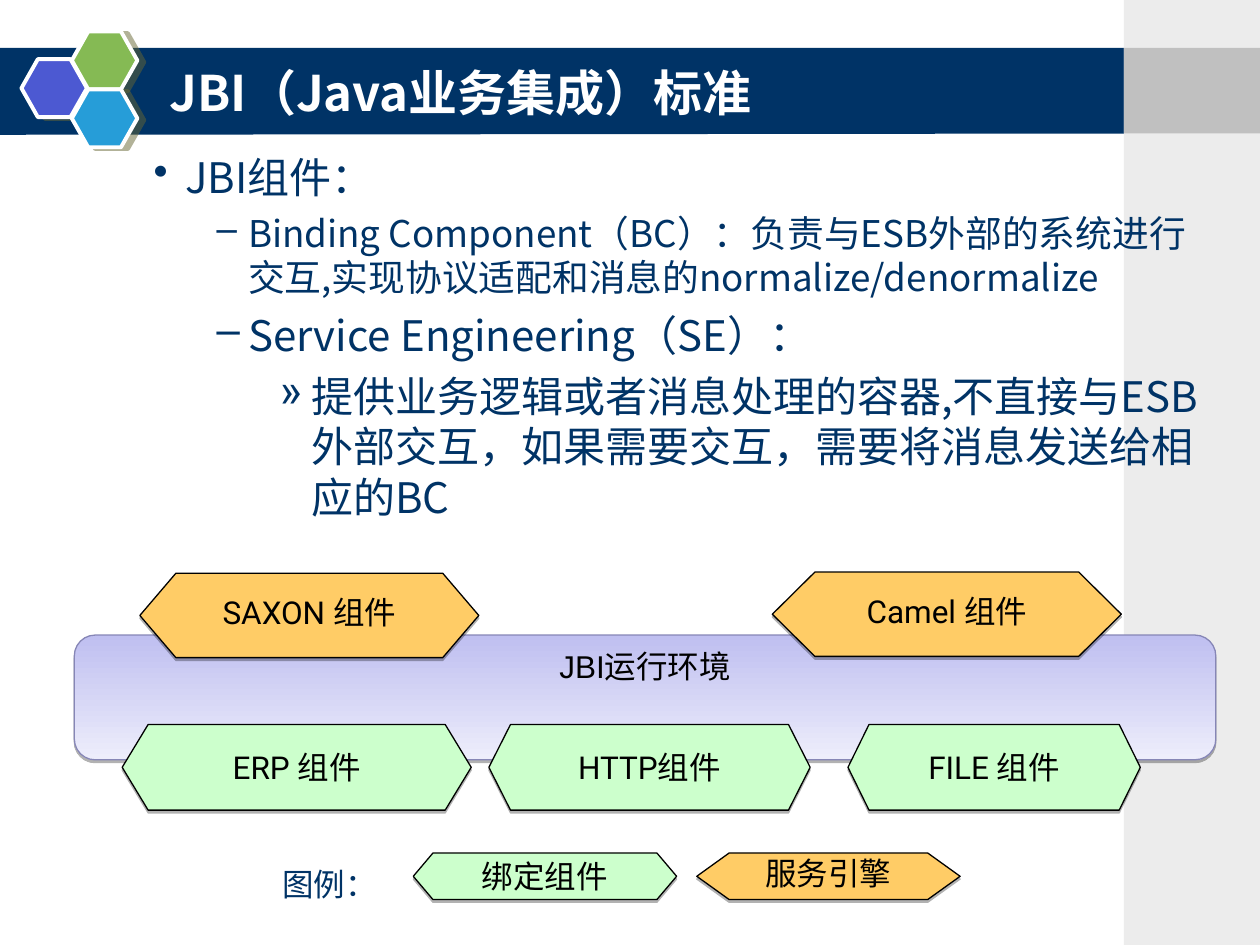
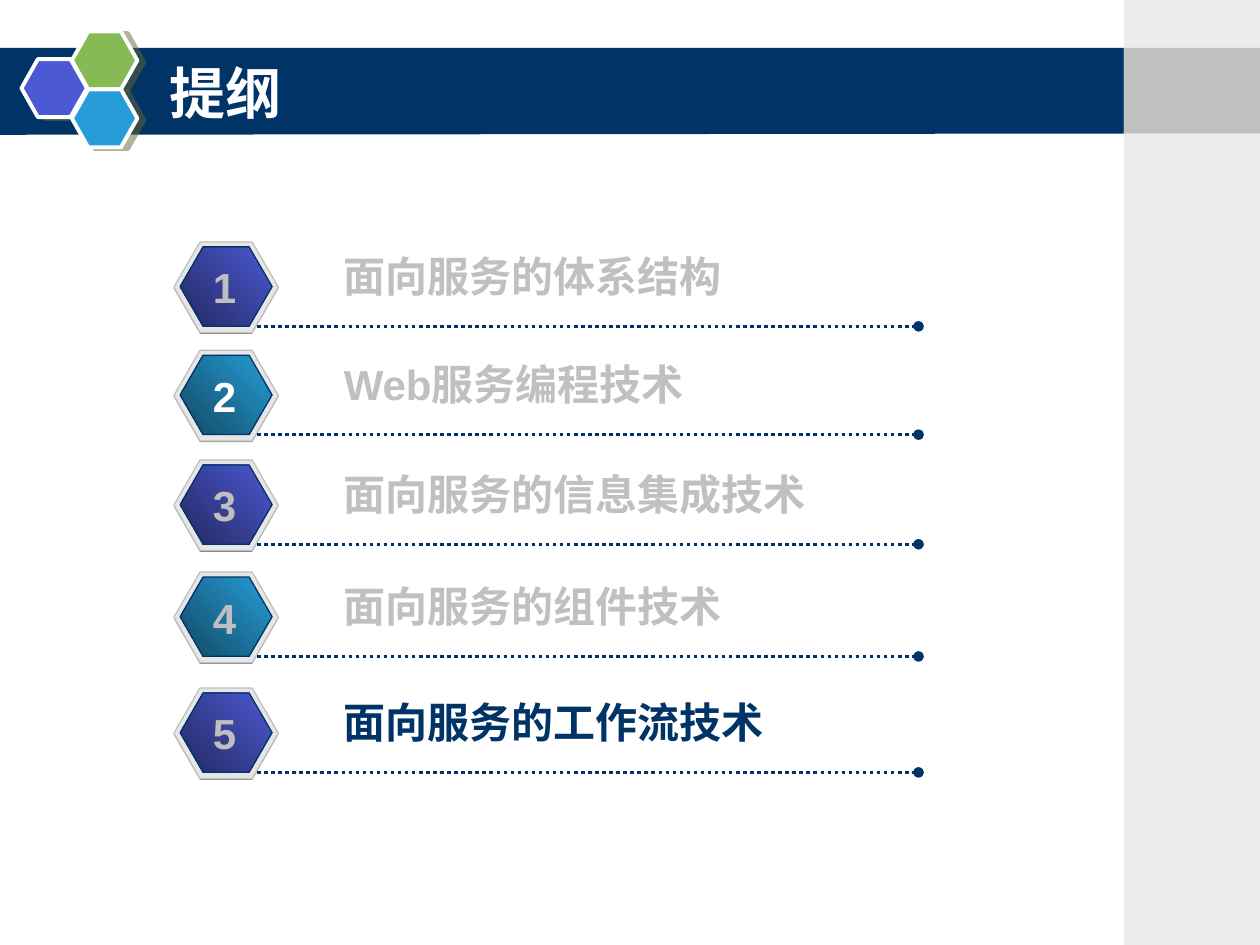
from lxml import etree
from pptx import Presentation
from pptx.dml.color import RGBColor
from pptx.enum.dml import MSO_LINE
from pptx.enum.shapes import MSO_CONNECTOR, MSO_SHAPE
from pptx.enum.text import MSO_ANCHOR as Anchor, PP_ALIGN as Align
from pptx.oxml import parse_xml
from pptx.oxml.ns import nsdecls, qn
from pptx.util import Inches, Pt

NAVY = RGBColor(0x00, 0x33, 0x66)
WHITE = RGBColor(0xFF, 0xFF, 0xFF)
BLACK = RGBColor(0x00, 0x00, 0x00)
VIOLET = RGBColor(0x4C, 0x59, 0xD2)
DARK_VIOLET = RGBColor(0x23, 0x29, 0x61)
BLUE = RGBColor(0x26, 0x9D, 0xD8)
DARK_BLUE = RGBColor(0x12, 0x49, 0x64)
LOGO_GREEN = RGBColor(0x85, 0xBA, 0x54)
SIDE_GRAY = RGBColor(0xEC, 0xEC, 0xEC)
SILVER = RGBColor(0xC0, 0xC0, 0xC0)
NUMBER_GRAY = RGBColor(0xBF, 0xBF, 0xBF)
RIM_GRAY = RGBColor(0xE6, 0xE6, 0xE6)
MID_GRAY = RGBColor(0x80, 0x80, 0x80)
LILAC = RGBColor(0xBF, 0xBF, 0xF0)
PALE_LILAC = RGBColor(0xED, 0xED, 0xFB)
LILAC_EDGE = RGBColor(0x86, 0x86, 0xB6)
MINT = RGBColor(0xCC, 0xFF, 0xCC)
ORANGE = RGBColor(0xFF, 0xCC, 0x66)

CJK = "Noto Sans CJK SC"
# Shadow: colour, opacity in percent, distance in points, direction in degrees
SOFT_SHADOW = ("000000", 29, 1.6, 90)
LOGO_SHADOW = ("666633", 50, 4.1, 14)


def add_shape(slide, kind, box, fill, line=None, width=0.75, adjust=None, shadow=None):
    """Add a preset shape; fill is a colour or (from, to, counter-clockwise angle)."""
    shape = slide.shapes.add_shape(kind, *map(Inches, box))
    shape.shadow.inherit = False
    if adjust is not None:
        shape.adjustments[0] = adjust
    if isinstance(fill, RGBColor):
        shape.fill.solid()
        shape.fill.fore_color.rgb = fill
    else:
        shape.fill.gradient()
        shape.fill.gradient_angle = fill[2]
        for stop, color in zip(shape.fill.gradient_stops, fill):
            stop.color.rgb = color
    if line is None:
        shape.line.fill.background()
    else:
        shape.line.color.rgb = line
        shape.line.width = Pt(width)
    if shadow:
        color, opacity, distance, direction = shadow
        shape._element.spPr.find(qn("a:effectLst")).append(parse_xml(
            f'<a:outerShdw {nsdecls("a")} blurRad="0" dist="{Pt(distance)}" '
            f'dir="{direction * 60000}" algn="ctr" rotWithShape="0">'
            f'<a:srgbClr val="{color}"><a:alpha val="{opacity * 1000}"/></a:srgbClr>'
            f'</a:outerShdw>'))
    return shape


def write(shape, text, size, color, font="Arial", bold=False, align=Align.LEFT,
          anchor=Anchor.TOP, wrap=True, new=False):
    """Put text in the first paragraph of a shape, or in a new one."""
    frame = shape.text_frame
    frame.word_wrap = wrap
    frame.vertical_anchor = anchor
    paragraph = frame.add_paragraph() if new else frame.paragraphs[0]
    paragraph.text = text
    paragraph.alignment = align
    paragraph.font.name = font
    paragraph.font.size = Pt(size)
    paragraph.font.bold = bold
    paragraph.font.color.rgb = color
    defaults = paragraph._p.pPr.find(qn("a:defRPr"))
    etree.SubElement(defaults, qn("a:ea")).set("typeface", CJK)
    return paragraph


presentation = Presentation()
presentation.slide_width = Inches(10)
presentation.slide_height = Inches(7.5)

# Shared frame: title band, hexagon ornament, side column and title
LOGO_HEXAGONS = [(0.17, 0.47, VIOLET), (0.57, 0.25, LOGO_GREEN), (0.57, 0.71, BLUE)]
for title, title_size in [("JBI（Java业务集成）标准", 28), ("提纲", 32)]:
    slide = presentation.slides.add_slide(presentation.slide_layouts[6])
    outline = slide.shapes.build_freeform(-1, 38, scale=Inches(0.01))
    outline.add_line_segments([(894, 38), (893, 106), (-1, 107)], close=True)
    band = outline.convert_to_shape()
    band.shadow.inherit = False
    band.fill.solid()
    band.fill.fore_color.rgb = NAVY
    band.line.fill.background()
    for left, top, color in LOGO_HEXAGONS:
        add_shape(slide, MSO_SHAPE.HEXAGON, (left, top, 0.52, 0.46), color,
                  WHITE, 2.25, 0.283, LOGO_SHADOW)
    add_shape(slide, MSO_SHAPE.RECTANGLE, (8.92, 0, 1.08, 7.5), SIDE_GRAY)
    add_shape(slide, MSO_SHAPE.RECTANGLE, (8.92, 0.38, 1.08, 0.68), SILVER)
    title_box = slide.shapes.add_textbox(*map(Inches, (1.25, 0.42, 7.42, 0.62)))
    write(title_box, title, title_size, WHITE, CJK, bold=True, anchor=Anchor.MIDDLE)

jbi_slide, outline_slide = presentation.slides

# JBI slide: bullets (level, bullet, size, space before, text)
BULLETS = [
    (2, "•", 24, 0, "JBI组件："),
    (3, "–", 21, 5.2, "Binding Component（BC）：负责与ESB外部的系统进行交互,"
                      "实现协议适配和消息的normalize/denormalize"),
    (3, "–", 24, 6, "Service Engineering（SE）："),
    (4, "»", 24, 6, "提供业务逻辑或者消息处理的容器,不直接与ESB外部交互，"
                    "如果需要交互，需要将消息发送给相应的BC"),
]
body = jbi_slide.shapes.add_textbox(*map(Inches, (0.12, 1.15, 9.55, 3.78)))
for index, (level, bullet, size, space, text) in enumerate(BULLETS):
    paragraph = write(body, text, size, NAVY, CJK, new=index > 0)
    paragraph.level = level
    paragraph.space_before = Pt(space)
    properties = paragraph._p.pPr
    properties.set("marL", str(Inches(0.25 + level / 2)))
    properties.set("indent", str(Inches(-0.25)))
    mark = parse_xml(f'<a:buChar {nsdecls("a")} char="{bullet}"/>')
    properties.find(qn("a:defRPr")).addprevious(mark)

# JBI slide: runtime with its components and the legend
runtime = add_shape(jbi_slide, MSO_SHAPE.ROUNDED_RECTANGLE, (0.59, 5.04, 9.06, 0.99),
                    (LILAC, PALE_LILAC, 270), LILAC_EDGE, adjust=0.167, shadow=SOFT_SHADOW)
write(runtime, "JBI运行环境", 18, BLACK, align=Align.CENTER)

COMPONENTS = [
    ("ERP 组件", (0.97, 5.75, 2.77, 0.68), MINT, 0.303),
    ("HTTP组件", (3.88, 5.75, 2.55, 0.68), MINT, 0.253),
    ("FILE 组件", (6.73, 5.75, 2.32, 0.68), MINT, 0.246),
    ("Camel 组件", (6.13, 4.54, 2.77, 0.67), ORANGE, 0.505),
    ("SAXON 组件", (1.11, 4.55, 2.69, 0.67), ORANGE, 0.427),
    ("绑定组件", (3.28, 6.77, 2.09, 0.37), MINT, 0.423),
    ("服务引擎", (5.53, 6.77, 2.09, 0.37), ORANGE, 0.695),
]
for label, box, color, adjust in COMPONENTS:
    component = add_shape(jbi_slide, MSO_SHAPE.HEXAGON, box, color, BLACK,
                          adjust=adjust, shadow=SOFT_SHADOW)
    write(component, label, 18, BLACK, "Roboto", align=Align.CENTER, anchor=Anchor.MIDDLE)
    if color == ORANGE:
        component.text_frame.margin_top = 0

legend = jbi_slide.shapes.add_textbox(*map(Inches, (2.14, 6.82, 0.95, 0.4)))
write(legend, "图例：", 18, NAVY, wrap=False)

# Outline slide: numbered chapters
CHAPTERS = [
    (1.92, "面向服务的体系结构", SILVER, NUMBER_GRAY),
    (2.78, "Web服务编程技术", SILVER, WHITE),
    (3.65, "面向服务的信息集成技术", SILVER, NUMBER_GRAY),
    (4.54, "面向服务的组件技术", SILVER, NUMBER_GRAY),
    (5.46, "面向服务的工作流技术", NAVY, NUMBER_GRAY),
]
BADGE_FILLS = [(VIOLET, DARK_VIOLET, 225), (BLUE, DARK_BLUE, 225)]
for number, (top, chapter, text_color, number_color) in enumerate(CHAPTERS, 1):
    for box, fill, line in [
        ((1.38, top + 0.01, 0.83, 0.72), MID_GRAY, None),
        ((1.38, top, 0.83, 0.72), RIM_GRAY, SILVER),
        ((1.43, top + 0.04, 0.73, 0.63), BADGE_FILLS[(number - 1) % 2], NAVY),
    ]:
        add_shape(outline_slide, MSO_SHAPE.HEXAGON, box, fill, line, adjust=0.289)

    rule = outline_slide.shapes.add_connector(
        MSO_CONNECTOR.STRAIGHT, *map(Inches, (2.04, top + 0.67, 7.29, top + 0.67)))
    rule.line.color.rgb = NAVY
    rule.line.width = Pt(2)
    rule.line.dash_style = MSO_LINE.ROUND_DOT
    etree.SubElement(rule.line._get_or_add_ln(), qn("a:tailEnd")).set("type", "oval")
    etree.SubElement(rule._element.spPr, qn("a:effectLst"))

    chapter_box = outline_slide.shapes.add_textbox(
        *map(Inches, (2.63, top + 0.02, 4.72, 0.5)))
    write(chapter_box, chapter, 24, text_color, bold=True)
    number_box = outline_slide.shapes.add_textbox(
        *map(Inches, (1.59, top + 0.11, 0.38, 0.5)))
    write(number_box, str(number), 24, number_color, bold=True,
          align=Align.CENTER, wrap=False)

presentation.save("out.pptx")
